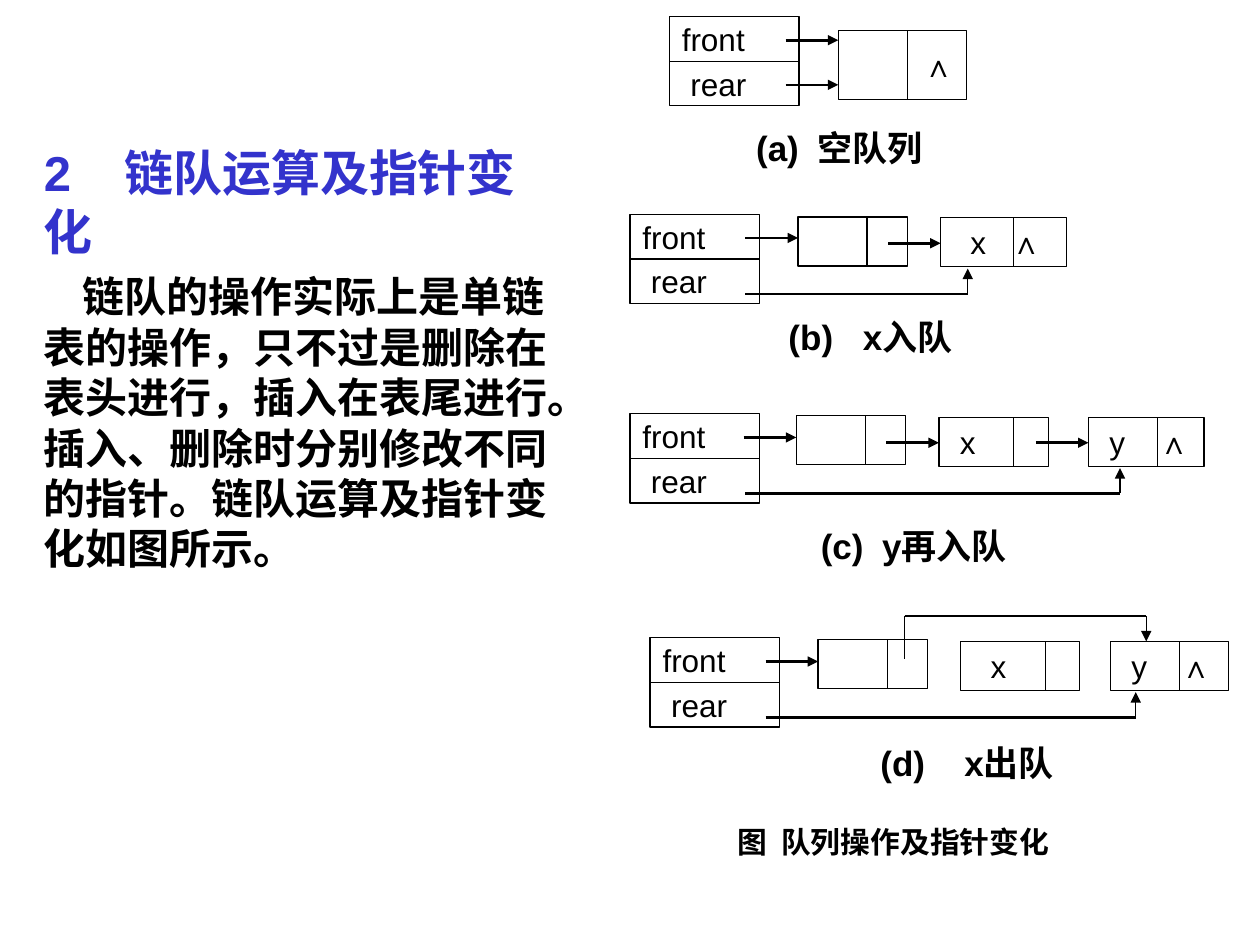
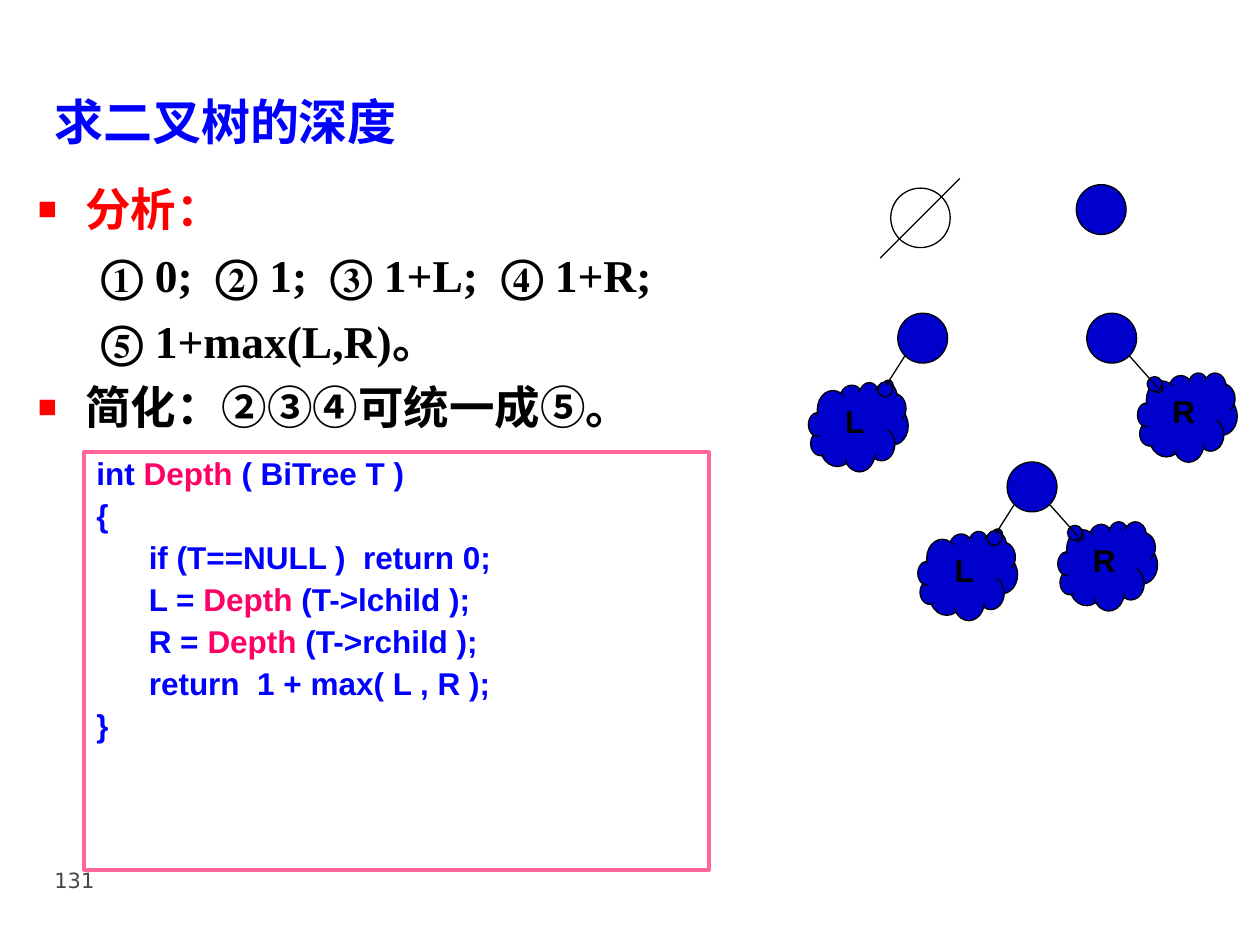
from dataclasses import dataclass

from lxml import etree
from pptx import Presentation
from pptx.dml.color import RGBColor
from pptx.enum.shapes import MSO_CONNECTOR, MSO_SHAPE
from pptx.enum.text import MSO_ANCHOR, PP_ALIGN
from pptx.oxml.ns import qn
from pptx.shapes.autoshape import Shape
from pptx.slide import Slide
from pptx.text.text import TextFrame, _Paragraph, _Run
from pptx.util import Pt

STRAIGHT = MSO_CONNECTOR.STRAIGHT
RECTANGLE, OVAL, CLOUD = MSO_SHAPE.RECTANGLE, MSO_SHAPE.OVAL, MSO_SHAPE.CLOUD_CALLOUT
TOP, MIDDLE = MSO_ANCHOR.TOP, MSO_ANCHOR.MIDDLE
LEFT, CENTER, RIGHT = PP_ALIGN.LEFT, PP_ALIGN.CENTER, PP_ALIGN.RIGHT

Point = tuple[float, float]
Box = tuple[float, float, float, float]


@dataclass(frozen=True)
class Style:
    size: float
    color: str = "000000"
    bold: bool = True
    latin: str = "Arial"


@dataclass(frozen=True)
class Theme:
    east_asian: str = "Noto Sans CJK SC"
    ink: str = "000000"
    red: str = "FF0000"
    tree_blue: str = "0000CC"
    code_frame: str = "FF6699"
    thin: float = 0.75
    thick: float = 1.5
    frame: float = 2.25
    section: Style = Style(28, "3333CC")
    title: Style = Style(28, "0000FF")
    body: Style = Style(24)
    caption: Style = Style(20)
    figure: Style = Style(17, latin="Noto Sans CJK SC")
    cell: Style = Style(18, bold=False)
    cloud: Style = Style(18)
    analysis: Style = Style(26, latin="Times New Roman")
    analysis_head: Style = Style(26, "FF0000", latin="Times New Roman")
    code: Style = Style(18, "0000FF")
    code_name: Style = Style(18, "FF0066")
    page: Style = Style(12, "464646", False, "DejaVu Sans")


THEME = Theme()


@dataclass(frozen=True)
class Node:
    """A list node; a tab in its text leads to the pointer cell."""
    left: float
    width: float
    divider: float
    text: str = ""
    inset: float = 7.2
    drop: float = 2
    height: float = 28
    align: PP_ALIGN = LEFT
    linked: bool = True


@dataclass(frozen=True)
class Queue:
    left: float
    top: float
    caption: str
    caption_at: Point
    caption_tab: float
    nodes: tuple[Node, ...]
    rear_x: float | None = None


@dataclass(frozen=True)
class Branch:
    """A subtree cloud, placed relative to its root circle."""
    letter: str
    cloud: Point
    start: Point
    end: Point
    tip: Point


HEAD_WIDTH, ROW, ARROW, POINTER_X = 74, 25.5, 30, 66
LINK_Y, REAR_Y, POINTER_TAB = 14.5, 45.5, 40

QUEUES = (
    Queue(382.5, 9.5, "(a)\t空队列", (425, 69), 35,
          (Node(479, 73.5, 39.5, "∧", drop=8, height=39.5, align=RIGHT),)),
    Queue(360, 122.5, "(b)\tx入队", (443.5, 176.5), 42.5,
          (Node(456, 62.5, 39.5, drop=1.5), Node(537.5, 72, 41.5, "x\t∧", 17)), 553),
    Queue(360, 236.5, "(c)\ty再入队", (462, 296), 35,
          (Node(455, 62.5, 39.5, drop=1), Node(536.5, 62.5, 42.5, "x", 12),
           Node(622, 66, 39.5, "y\t∧", 12)), 640),
    Queue(371.5, 364.5, "(d)\tx出队", (496, 420.5), 48,
          (Node(467.5, 62.5, 39.5, drop=1), Node(549, 68, 48.5, "x", 17, linked=False),
           Node(634.5, 67.5, 39.5, "y\t∧", 12, linked=False)), 649),
)

LEFT_BRANCH = Branch("L", (-51, 39.5), (4, 24.5), (-6.5, 41), (0.3, -0.47))
RIGHT_BRANCH = Branch("R", (29, 34), (24.5, 24.5), (40.5, 42.5), (-0.29, -0.33))
TREES: tuple[tuple[Point, tuple[Branch, ...]], ...] = (
    ((615, 105.5), ()),
    ((513, 179), (LEFT_BRANCH,)),
    ((621, 179), (RIGHT_BRANCH,)),
    ((575.5, 264), (LEFT_BRANCH, RIGHT_BRANCH)),
)

DEPTH_CODE = """int Depth ( BiTree T )
{
      if (T==NULL )  return 0;
      L = Depth (T->lchild );
      R = Depth (T->rchild );
      return  1 + max( L , R );
}"""


def rgb(color: str) -> RGBColor:
    return RGBColor.from_string(color)


def format_run(run: _Run, style: Style) -> None:
    font = run.font
    font.size, font.bold, font.name = Pt(style.size), style.bold, style.latin
    font.color.rgb = rgb(style.color)
    latin = run._r.rPr.find(qn("a:latin"))
    latin.addnext(latin.makeelement(qn("a:ea"), {"typeface": THEME.east_asian}))


def format_runs(paragraph: _Paragraph, style: Style) -> None:
    for run in paragraph.runs:
        format_run(run, style)


def set_indent(paragraph: _Paragraph, margin: float, first: float) -> None:
    properties = paragraph._p.get_or_add_pPr()
    properties.set("marL", str(Pt(margin)))
    properties.set("indent", str(Pt(first)))


def add_tab(paragraph: _Paragraph, position: float) -> None:
    tabs = etree.SubElement(paragraph._p.get_or_add_pPr(), qn("a:tabLst"))
    etree.SubElement(tabs, qn("a:tab"), pos=str(Pt(position)), algn="l")


def add_bullet(paragraph: _Paragraph) -> None:
    properties = paragraph._p.get_or_add_pPr()
    color = etree.SubElement(properties, qn("a:buClr"))
    etree.SubElement(color, qn("a:srgbClr"), val=THEME.red)
    etree.SubElement(properties, qn("a:buSzPct"), val="70000")
    etree.SubElement(properties, qn("a:buFont"), typeface="Arial")
    etree.SubElement(properties, qn("a:buChar"), char="■")


def set_frame(frame: TextFrame, anchor: MSO_ANCHOR, inset: float = 7.2) -> None:
    frame.word_wrap = True
    frame.vertical_anchor = anchor
    frame.margin_left = Pt(inset)


def add_text(slide: Slide, box: Box, text: str, style: Style,
             anchor: MSO_ANCHOR = TOP) -> TextFrame:
    frame = slide.shapes.add_textbox(*map(Pt, box)).text_frame
    set_frame(frame, anchor)
    frame.text = text
    for paragraph in frame.paragraphs:
        format_runs(paragraph, style)
    return frame


def add_outline(slide: Slide, kind: MSO_SHAPE, box: Box, fill: str | None = None,
                line: str = THEME.ink, weight: float = THEME.thin) -> Shape:
    shape = slide.shapes.add_shape(kind, *map(Pt, box))
    shape.shadow.inherit = False
    if fill:
        shape.fill.solid()
        shape.fill.fore_color.rgb = rgb(fill)
    else:
        shape.fill.background()
    shape.line.color.rgb = rgb(line)
    shape.line.width = Pt(weight)
    return shape


def add_line(slide: Slide, start: Point, end: Point, weight: float = THEME.thin,
             arrow: bool = False) -> None:
    connector = slide.shapes.add_connector(STRAIGHT, *map(Pt, start + end))
    connector.line.color.rgb = rgb(THEME.ink)
    connector.line.width = Pt(weight)
    properties = connector._element.spPr
    if arrow:
        etree.SubElement(properties.find(qn("a:ln")), qn("a:tailEnd"), type="triangle")
    etree.SubElement(properties, qn("a:effectLst"))


def add_cell(slide: Slide, box: Box, text: str, inset: float,
             align: PP_ALIGN = LEFT) -> None:
    frame = add_outline(slide, RECTANGLE, box).text_frame
    if not text:
        return
    set_frame(frame, MIDDLE, inset)
    frame.margin_right = Pt(7.2 if align == RIGHT else 0)
    frame.text = text
    paragraph = frame.paragraphs[0]
    paragraph.alignment = align
    if "\t" in text:
        add_tab(paragraph, POINTER_TAB - inset)
    format_runs(paragraph, THEME.cell)


def arrow_into(slide: Slide, x: float, y: float) -> None:
    add_line(slide, (x - ARROW, y), (x, y), THEME.thick, arrow=True)


def draw_queue(slide: Slide, queue: Queue) -> None:
    for row, (name, inset) in enumerate((("front", 7.2), ("rear", 12))):
        add_cell(slide, (queue.left, queue.top + row * ROW, HEAD_WIDTH, ROW), name, inset)
    for position, node in enumerate(queue.nodes):
        top = queue.top + node.drop
        divider = node.left + node.divider
        add_cell(slide, (node.left, top, node.width, node.height),
                 node.text, node.inset, node.align)
        add_line(slide, (divider, top), (divider, top + node.height))
        if position == 0:
            arrow_into(slide, node.left, queue.top + 13.5)
        elif node.linked:
            arrow_into(slide, node.left, top + LINK_Y)
    if queue.rear_x is None:
        arrow_into(slide, queue.nodes[0].left, queue.top + 13.5 + ROW)
    else:
        y = queue.top + REAR_Y
        add_line(slide, (queue.left + POINTER_X, y), (queue.rear_x, y), THEME.thick)
        add_line(slide, (queue.rear_x, y), (queue.rear_x, y - 14.5), arrow=True)
    caption = add_text(slide, (*queue.caption_at, 122, 31), queue.caption,
                       THEME.caption, MIDDLE)
    caption.margin_right = 0
    add_tab(caption.paragraphs[0], queue.caption_tab)


def build_queue_slide(slide: Slide) -> None:
    for queue in QUEUES:
        draw_queue(slide, queue)
    bypass = ((517, 376.5), (517, 352), (655, 352), (655, 366.5))
    for start, end in zip(bypass, bypass[1:]):
        add_line(slide, start, end, arrow=end == bypass[-1])
    figure = add_text(slide, (377.5, 468.5, 266.5, 28), "图  队列操作及指针变化",
                      THEME.figure, MIDDLE).paragraphs[0]
    figure.alignment, figure.line_spacing = CENTER, 0.9

    explanation = add_text(
        slide, (18, 78, 306.5, 274),
        "2\t链队运算及指针变化\n"
        "链队的操作实际上是单链表的操作，只不过是删除在表头进行，插入在表尾进行。"
        "插入、删除时分别修改不同的指针。链队运算及指针变化如图所示。", THEME.body)
    heading, body = explanation.paragraphs
    add_tab(heading, 46)
    for run in heading.runs:
        run.font.size = Pt(THEME.section.size)
        run.font.color.rgb = rgb(THEME.section.color)
    set_indent(body, 0, 22)
    body.space_before = Pt(6)


def add_analysis(slide: Slide) -> None:
    frame = add_text(slide, (14.5, 100, 414, 153.5),
                     "分析：\n① 0;  ② 1;  ③ 1+L;  ④ 1+R;\n⑤ 1+max(L,R)。\n"
                     "简化：②③④可统一成⑤。", THEME.analysis)
    for position, paragraph in enumerate(frame.paragraphs):
        if position in (1, 2):
            set_indent(paragraph, 58.5, -22.5)
        else:
            set_indent(paragraph, 27, -27)
            add_bullet(paragraph)
        if position:
            paragraph.space_before = Pt(6.5)
    for run in frame.paragraphs[0].runs:
        run.font.color.rgb = rgb(THEME.analysis_head.color)


def add_code(slide: Slide) -> None:
    frame = add_outline(slide, RECTANGLE, (48, 258.5, 357, 238.5),
                        line=THEME.code_frame, weight=THEME.frame).text_frame
    set_frame(frame, TOP)
    for position, line in enumerate(DEPTH_CODE.splitlines()):
        paragraph = frame.add_paragraph() if position else frame.paragraphs[0]
        paragraph.alignment, paragraph.line_spacing = LEFT, 0.9
        set_indent(paragraph, 27, -27)
        if position:
            paragraph.space_before = Pt(4.5)
        before, name, after = line.partition("Depth ")
        for part in filter(None, (before, name, after)):
            run = paragraph.add_run()
            run.text = part
            format_run(run, THEME.code_name if part == name else THEME.code)


def draw_tree(slide: Slide, root: Point, branches: tuple[Branch, ...]) -> None:
    def from_root(offset: Point) -> Point:
        return root[0] + offset[0], root[1] + offset[1]

    add_outline(slide, OVAL, (*root, 28.5, 28.5), THEME.tree_blue)
    for branch in branches:
        cloud = add_outline(slide, CLOUD, (*from_root(branch.cloud), 57, 51),
                            THEME.tree_blue)
        cloud.adjustments[0], cloud.adjustments[1] = branch.tip
        set_frame(cloud.text_frame, TOP)
        cloud.text_frame.text = branch.letter
        letter = cloud.text_frame.paragraphs[0]
        letter.alignment = CENTER
        format_runs(letter, THEME.cloud)
        add_line(slide, from_root(branch.start), from_root(branch.end))


def build_depth_slide(slide: Slide) -> None:
    add_text(slide, (24, 492, 180, 37.5), "131", THEME.page)
    add_analysis(slide)
    add_text(slide, (24, 49, 396.5, 41), "求二叉树的深度", THEME.title)
    add_code(slide)
    add_outline(slide, OVAL, (509, 107.5, 34, 34))
    add_line(slide, (548.5, 102), (503, 147.5))
    for root, branches in TREES:
        draw_tree(slide, root, branches)


def main() -> None:
    deck = Presentation()
    deck.slide_width, deck.slide_height = Pt(720), Pt(540)
    blank = deck.slide_layouts[6]
    for build in (build_queue_slide, build_depth_slide):
        build(deck.slides.add_slide(blank))
    deck.save("out.pptx")


if __name__ == "__main__":
    main()
